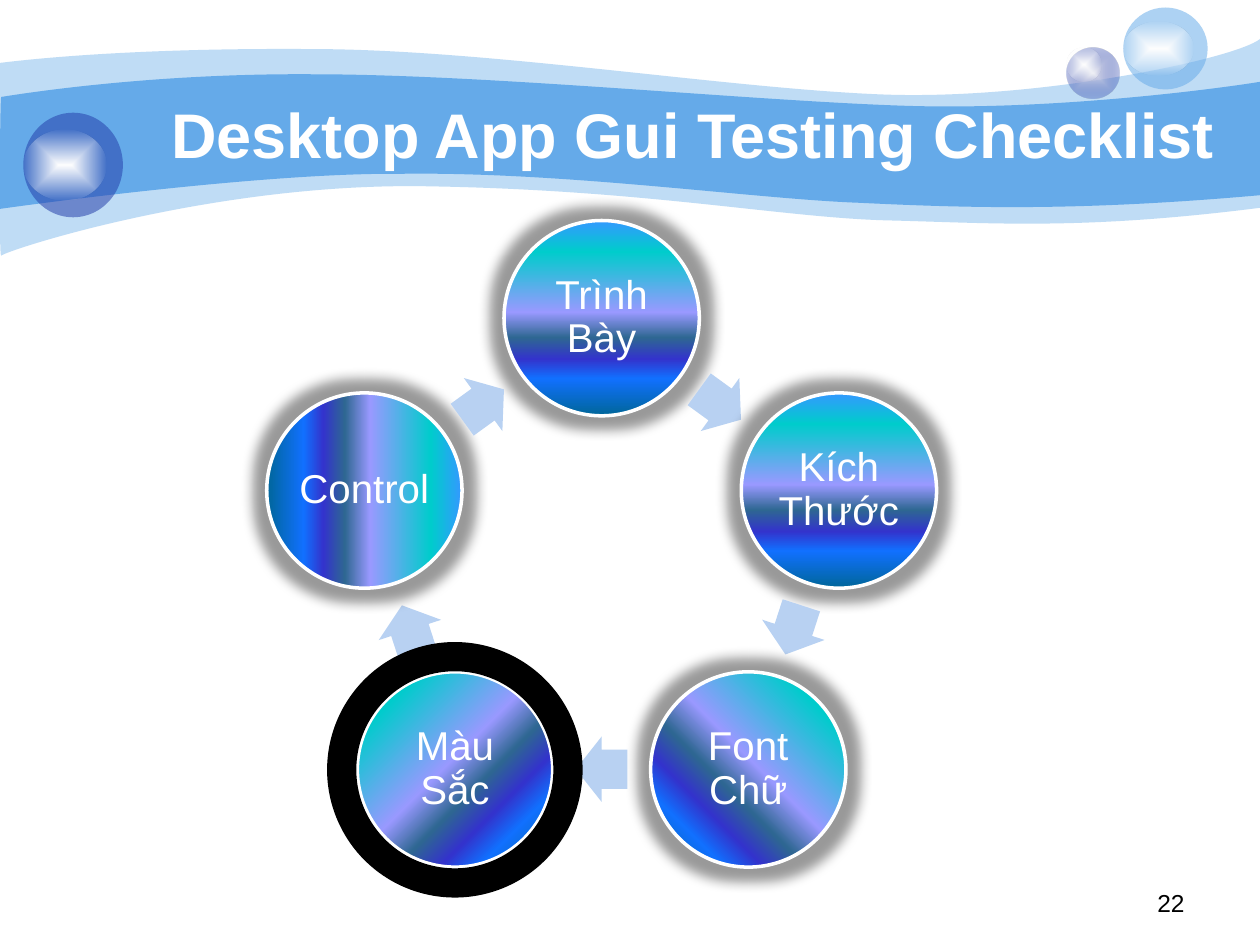
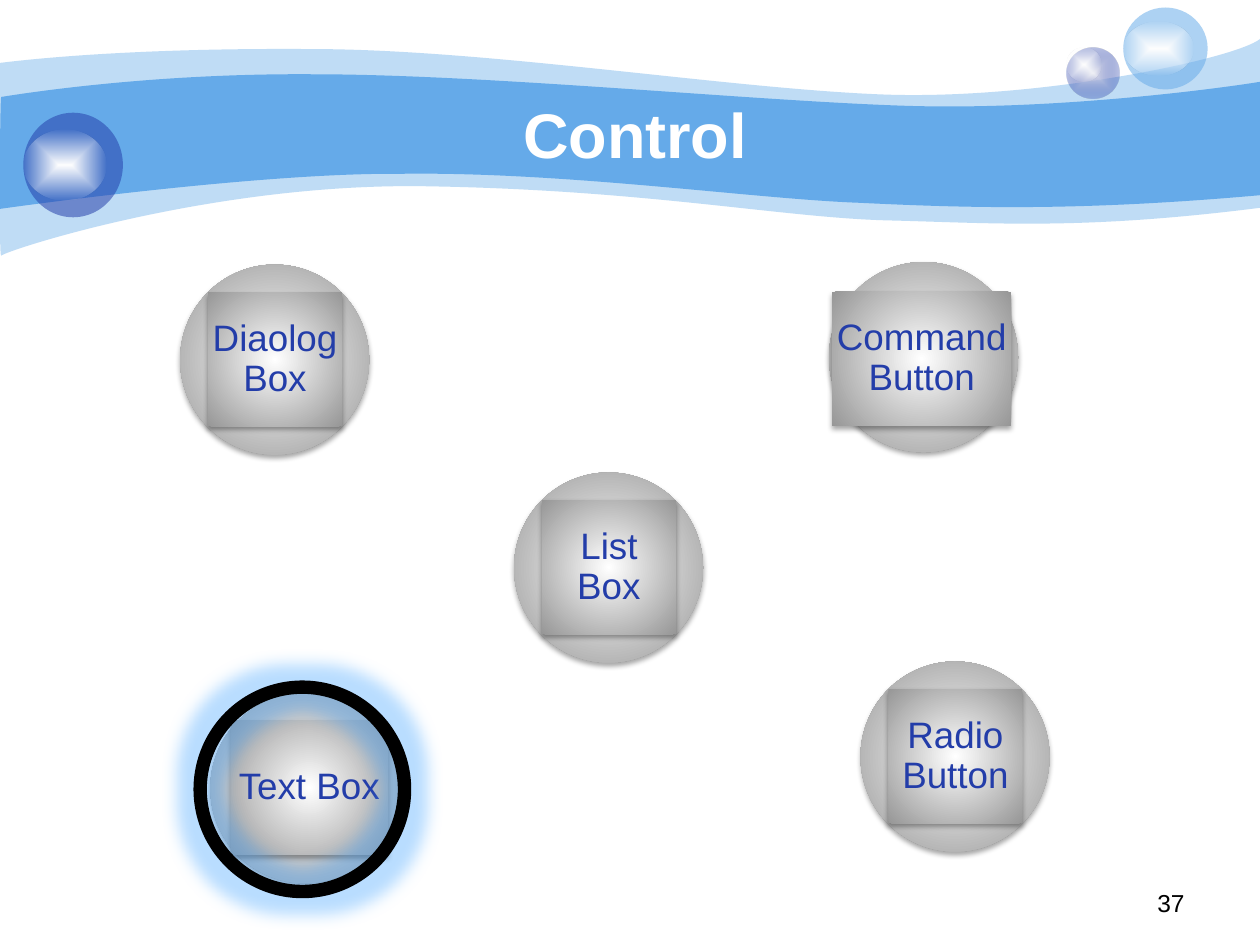
from math import cos, radians, sin

from lxml.etree import SubElement
from pptx import Presentation
from pptx.dml.color import RGBColor
from pptx.enum.shapes import MSO_SHAPE
from pptx.enum.text import MSO_ANCHOR, PP_ALIGN
from pptx.oxml.ns import qn
from pptx.util import Inches, Pt

# Grid: 100 columns by 75 rows of square cells
COLS, ROWS = 100, 75
CELL = Inches(10) / COLS

FONT = "Arial"
WHITE = RGBColor(0xFF, 0xFF, 0xFF)
BLACK = RGBColor(0x00, 0x00, 0x00)
SKY = RGBColor(0x65, 0xAA, 0xE9)
NAVY = RGBColor(0x23, 0x3D, 0xA9)
MIST = RGBColor(0xE1, 0xE2, 0xED)
GRAY = RGBColor(0x97, 0x97, 0x97)
ARROW = RGBColor(0xB8, 0xD1, 0xF2)
HALO = RGBColor(0x50, 0xAA, 0xFF)

# Gradients: (position %, colour, opacity %)
GLOSS = [(0, WHITE, 100), (100, WHITE, 0)]
LILAC = [(0, MIST, 100), (100, NAVY, 31)]
SILVER = [(0, WHITE, 100), (100, GRAY, 100)]
OCEAN = [
    (0, RGBColor(0x33, 0x99, 0xFF), 100),
    (16, RGBColor(0x00, 0xCC, 0xCC), 100),
    (47, RGBColor(0x99, 0x99, 0xFF), 100),
    (60, RGBColor(0x2E, 0x67, 0x92), 100),
    (71, RGBColor(0x33, 0x33, 0xCC), 100),
    (81, RGBColor(0x11, 0x70, 0xFF), 100),
    (100, RGBColor(0x00, 0x66, 0x99), 100),
]

# Wavy bands: a start, then curves (3 points) and straight lines (1 point)
PALE_WAVE = [
    [(0, 5)],
    [(2.4, 4.7), (10.7, 3.8), (24.7, 3.9)], [(38.6, 3.9), (57.5, 7), (69.9, 7.5)],
    [(82.2, 8), (98, 4.7), (100, 3.1)], [(100, 16.5)],
    [(85.8, 18.3), (78.7, 17.7), (70.5, 17.5)], [(62.2, 17.3), (51.5, 15.1), (34.3, 14.8)],
    [(17.2, 14.4), (0.4, 19.9), (0.1, 20.3)], [(-0.1, 20.8), (0, 7.5), (0, 5)],
]
BLUE_WAVE = [
    [(0.1, 7.7)],
    [(0.2, 7.7), (11, 5.8), (24.8, 5.9)], [(38.6, 5.9), (59.5, 8), (71.8, 8.4)],
    [(84.1, 8.8), (97.6, 6.9), (100, 6.5)], [(100, 15.5)],
    [(85.3, 16.8), (76.5, 16.5), (68.2, 16.1)], [(59.9, 15.8), (44.7, 13.6), (31.7, 13.8)],
    [(20.3, 13.7), (-0.2, 16.6), (-0.1, 16.6)], [(0, 16.6), (0, 7.7), (0.1, 7.7)],
]

CYCLE = [("Trình Bày", 90), ("Kích Thước", 90), ("Font Chữ", 135),
         ("Màu Sắc", 45), ("Control", 180)]

# Label, disc left and top, plate left, top and width
CONTROLS = [
    ("Diaolog Box", 14.3, 21, 16.5, 23.2, 10.65),
    ("Command Button", 65.8, 20.8, 66.05, 23.15, 14.2),
    ("Radio Button", 68.3, 52.5, 70.5, 54.7, 10.65),
    ("Text Box", 16.7, 55, 18.3, 57.2, 12.5),
    ("List Box", 40.8, 37.5, 43, 39.7, 10.65),
]


def cells(n):
    return round(n * CELL)


def add_color(parent, color, opacity):
    clr = SubElement(parent, qn("a:srgbClr"), val=str(color))
    if opacity < 100:
        SubElement(clr, qn("a:alpha"), val=str(opacity * 1000))


def set_solid(sp, color, opacity=100):
    sp.fill.solid()
    sp.fill.fore_color.rgb = color
    if opacity < 100:
        clr = sp._element.spPr.find(qn("a:solidFill"))[0]
        SubElement(clr, qn("a:alpha"), val=str(opacity * 1000))


def set_gradient(sp, stops, angle=None, path="shape"):
    """Linear when an angle is given, else spreading from the centre."""
    sp.fill.background()
    grad = sp._element.spPr.find(qn("a:noFill"))
    grad.tag = qn("a:gradFill")
    grad.set("rotWithShape", "1")
    gs_lst = SubElement(grad, qn("a:gsLst"))
    for pos, color, opacity in stops:
        gs = SubElement(gs_lst, qn("a:gs"), pos=str(pos * 1000))
        add_color(gs, color, opacity)
    if angle is not None:
        SubElement(grad, qn("a:lin"), ang=str(angle * 60000), scaled="0")
    else:
        center = SubElement(grad, qn("a:path"), path=path)
        SubElement(center, qn("a:fillToRect"), l="50000", t="50000", r="50000", b="50000")


def add_effect(sp, name, color, opacity, **attrs):
    effects = sp._element.spPr.find(qn("a:effectLst"))
    add_color(SubElement(effects, qn(name), **attrs), color, opacity)


def add_glow(sp, color, radius):
    add_effect(sp, "a:glow", color, 40, rad=str(Pt(radius)))


def add_drop_shadow(sp):
    add_effect(sp, "a:outerShdw", BLACK, 35, blurRad=str(Pt(3.1)), dist=str(Pt(1.8)),
               dir="5400000", rotWithShape="0")


def add_preset(s, kind, x, y, w, h, outline=None):
    sp = s.shapes.add_shape(kind, cells(x), cells(y), cells(w), cells(h))
    sp.shadow.inherit = False
    if outline is None:
        sp.line.fill.background()
    else:
        sp.line.color.rgb = outline
        sp.line.width = Pt(2)
    return sp


def write(sp, text, size, color, align=PP_ALIGN.CENTER, bold=False,
          anchor=MSO_ANCHOR.MIDDLE, inset=None, spacing=None):
    tf = sp.text_frame
    tf.word_wrap = True
    tf.vertical_anchor = anchor
    if inset is not None:
        tf.margin_left = tf.margin_right = tf.margin_top = tf.margin_bottom = cells(inset)
    p = tf.paragraphs[0]
    p.alignment = align
    if spacing:
        p.line_spacing = spacing
    r = p.add_run()
    r.text = text
    r.font.name, r.font.size, r.font.bold = FONT, Pt(size), bold
    r.font.color.rgb = color


def add_text(s, x, y, w, h, *args, **kwargs):
    box = s.shapes.add_textbox(cells(x), cells(y), cells(w), cells(h))
    write(box, *args, **kwargs)


def add_wave(s, outline, opacity):
    """Lay out every point as a line, then merge each curve's three lines."""
    points = [(cells(x), cells(y)) for seg in outline for x, y in seg]
    fb = s.shapes.build_freeform(*points[0], scale=1.0)
    fb.add_line_segments(points[1:], close=True)
    sp = fb.convert_to_shape()
    lines = iter(list(sp._element.iter(qn("a:lnTo"))))
    for seg in outline[1:]:
        first, *others = [next(lines) for _ in seg]
        if others:
            first.tag = qn("a:cubicBezTo")
            for line in others:
                first.append(line[0])
                line.getparent().remove(line)
    sp.shadow.inherit = False
    sp.line.fill.background()
    set_solid(sp, SKY, opacity)


def add_bubble(s, x, y, w, h, color, shine):
    """A translucent ball; shine is the top, width and height of its highlight."""
    ball = add_preset(s, MSO_SHAPE.OVAL, x, y, w, h)
    if color is None:
        set_gradient(ball, LILAC)
    else:
        set_solid(ball, color, 53)
    set_gradient(add_preset(s, MSO_SHAPE.OVAL, x, *shine), GLOSS)


def add_base(prs, title, title_width, number):
    """Blank slide with bands, bubbles, title and slide number."""
    s = prs.slides.add_slide(prs.slide_layouts[6])
    add_wave(s, PALE_WAVE, 41)
    add_wave(s, BLUE_WAVE, 100)
    add_bubble(s, 84.65, 3.75, 4.2, 4.05, None, (3.8, 2.8, 2.7))
    add_bubble(s, 89.15, 0.6, 6.7, 6.5, SKY, (1.7, 5.6, 4.3))
    add_bubble(s, 1.85, 8.95, 7.9, 8.3, NAVY, (10.3, 6.6, 5.6))
    add_text(s, 10, 7.5, title_width, 6.2, title, 36, WHITE, bold=True)
    add_text(s, 71.7, 70, 23.3, 3.5, number, 14, BLACK, align=PP_ALIGN.RIGHT,
             anchor=MSO_ANCHOR.TOP)
    return s


def add_ring(s, x, y, size, thickness):
    ring = add_preset(s, MSO_SHAPE.DONUT, x, y, size, size, BLACK)
    ring.rotation = 19.2
    ring.adjustments[0] = thickness
    set_solid(ring, BLACK)
    return ring


def add_cycle(s, cx, cy, radius, arrow_radius, size):
    """Circles clockwise from the top, with an arrow after each."""
    step = 360 / len(CYCLE)
    arrow_w, arrow_h = 4.1, 5.2
    for i, (label, angle) in enumerate(CYCLE):
        turn = radians(i * step)
        x, y = cx + radius * sin(turn), cy - radius * cos(turn)
        disc = add_preset(s, MSO_SHAPE.OVAL, x - size / 2, y - size / 2, size, size, WHITE)
        set_gradient(disc, OCEAN, angle)
        add_glow(disc, BLACK, 14)
        write(disc, label, 23, WHITE, inset=0.3, spacing=0.9)

        heading = (i + 0.5) * step
        x = cx + arrow_radius * sin(radians(heading))
        y = cy - arrow_radius * cos(radians(heading))
        arrow = add_preset(s, MSO_SHAPE.RIGHT_ARROW, x - arrow_w / 2, y - arrow_h / 2,
                           arrow_w, arrow_h)
        arrow.adjustments[0], arrow.adjustments[1] = 0.6, 0.5
        arrow.rotation = heading
        set_solid(arrow, ARROW)


def add_control(s, label, x, y, plate_x, plate_y, plate_w):
    """A silver disc with a labelled plate on it."""
    disc = add_preset(s, MSO_SHAPE.OVAL, x, y, 15, 15.1)
    plate = add_preset(s, MSO_SHAPE.RECTANGLE, plate_x, plate_y, plate_w, 10.65)
    for sp in (disc, plate):
        set_gradient(sp, SILVER, path="circle")
        add_drop_shadow(sp)
    write(plate, label, 21, NAVY, inset=0.3, spacing=0.9)


def main():
    prs = Presentation()
    prs.slide_width, prs.slide_height = cells(COLS), cells(ROWS)

    # Checklist cycle
    s = add_base(prs, "Desktop App Gui Testing Checklist", 90, "22")
    add_cycle(s, 47.75, 45.05, 19.8, 16, 15.5)
    add_ring(s, 26.1, 51.1, 20, 0.102)

    # Kinds of control
    s = add_base(prs, "Control", 80.8, "37")
    for control in CONTROLS:
        add_control(s, *control)
    add_glow(add_ring(s, 15.5, 54.15, 17, 0.046), HALO, 18)

    prs.save("out.pptx")


if __name__ == "__main__":
    main()
